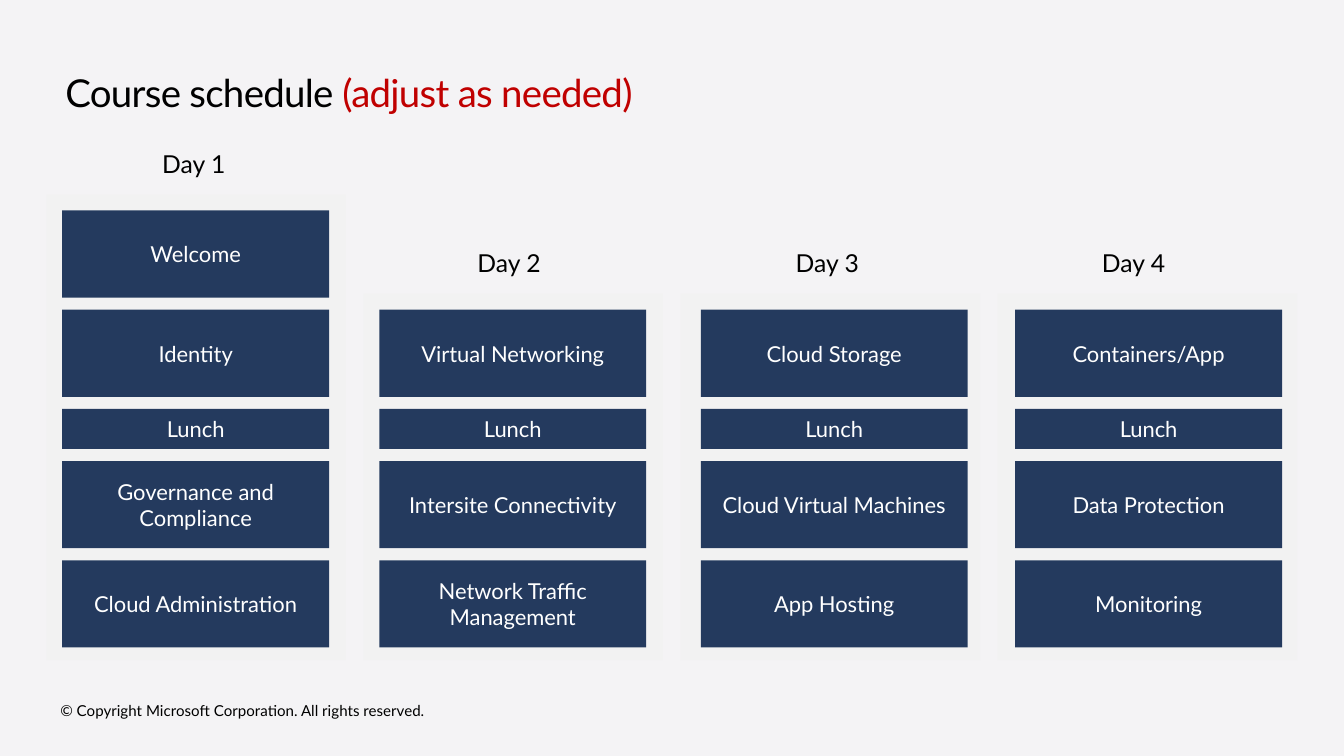
import dataclasses
import pptx
import pptx.dml.color
import pptx.enum.shapes
import pptx.enum.text
import pptx.util

Cm = pptx.util.Cm
Pt = pptx.util.Pt
Align = pptx.enum.text.PP_ALIGN
Anchor = pptx.enum.text.MSO_ANCHOR

HUES = {
    "page": "F4F3F5",
    "panel": "F2F2F2",
    "block": "243A5E",
    "dark": "000000",
    "light": "FFFFFF",
    "alert": "C00000",
}
FONT = "Lato"
TALL, SHORT, GAP = 2.24, 1.03, 0.31
FLOOR = 16.64
PAD_TOP, PAD_LOW = 0.41, 0.33
PANEL_LEFT, PANEL_STEP, PANEL_WIDE = 1.19, 8.15, 7.7
BLOCK_WIDE = 6.86
LABEL_RISE = 1.17


@dataclasses.dataclass
class Day:
    name: str
    label_left: float
    block_left: float
    topics: list[str]


@dataclasses.dataclass
class Box:
    left: float
    top: float
    wide: float
    high: float

    def place(self) -> tuple:
        return Cm(self.left), Cm(self.top), Cm(self.wide), Cm(self.high)


DAYS = [
    Day("Day 1", 4.17, 1.6, ["Welcome", "Identity", "Lunch",
                             "Governance and Compliance", "Cloud Administration"]),
    Day("Day 2", 12.27, 9.75, ["Virtual Networking", "Lunch",
                               "Intersite Connectivity", "Network Traffic Management"]),
    Day("Day 3", 20.45, 18.01, ["Cloud Storage", "Lunch",
                                "Cloud Virtual Machines", "App Hosting"]),
    Day("Day 4", 28.32, 26.09, ["Containers/App", "Lunch",
                                "Data Protection", "Monitoring"]),
]


def tint(name: str) -> pptx.dml.color.RGBColor:
    return pptx.dml.color.RGBColor.from_string(HUES[name])


def style(run, size: float, hue: str) -> None:
    run.font.name = FONT
    run.font.size = Pt(size)
    run.font.color.rgb = tint(hue)


def inset(frame, left: float, top: float, right: float, low: float) -> None:
    frame.margin_left, frame.margin_top = Cm(left), Cm(top)
    frame.margin_right, frame.margin_bottom = Cm(right), Cm(low)


def add_text(slide, box: Box, text: str, size: float, pads: tuple):
    frame = slide.shapes.add_textbox(*box.place()).text_frame
    frame.word_wrap = True
    inset(frame, *pads)
    frame.text = text
    line = frame.paragraphs[0]
    style(line.runs[0], size, "dark")
    return line


def add_rect(slide, box: Box, hue: str):
    kind = pptx.enum.shapes.MSO_SHAPE.RECTANGLE
    shape = slide.shapes.add_shape(kind, *box.place())
    shape.shadow.inherit = False
    shape.fill.solid()
    shape.fill.fore_color.rgb = tint(hue)
    shape.line.fill.background()
    return shape


def add_block(slide, box: Box, text: str) -> None:
    frame = add_rect(slide, box, "block").text_frame
    frame.word_wrap = True
    frame.vertical_anchor = Anchor.MIDDLE
    inset(frame, 0.51, 0.41, 0.51, 0.41)
    frame.text = text
    line = frame.paragraphs[0]
    line.alignment = Align.CENTER
    style(line.runs[0], 16, "light")


def add_day(slide, day: Day, panel_left: float) -> None:
    highs = [SHORT if topic == "Lunch" else TALL for topic in day.topics]
    top = FLOOR - sum(highs) - GAP * (len(highs) - 1)
    crest = top - PAD_TOP
    label = Box(day.label_left, crest - LABEL_RISE, 2.2, 0.76)
    add_text(slide, label, day.name, 18, (0, 0, 0, 0))
    panel = Box(panel_left, crest, PANEL_WIDE, FLOOR + PAD_LOW - crest)
    add_rect(slide, panel, "panel")
    for topic, high in zip(day.topics, highs):
        add_block(slide, Box(day.block_left, top, BLOCK_WIDE, high), topic)
        top += high + GAP


def add_title(slide) -> None:
    box = Box(1.68, 1.65, 23.22, 0.86)
    line = add_text(slide, box, "Course schedule ", 28, (0, 0.25, 0.41, 0.25))
    line.line_spacing = 0.9
    note = line.add_run()
    note.text = "(adjust as needed)"
    style(note, 28, "alert")
    for run in line.runs:
        run.font._element.set("spc", "-50")


def add_foot(slide) -> None:
    text = "© Copyright Microsoft Corporation. All rights reserved."
    box = Box(1.04, 17.86, 10.8, 1.24)
    line = add_text(slide, box, text, 11, (0.51, 0.41, 0.51, 0.41))
    line.line_spacing = 0.9
    line.space_after = Pt(6)


def main() -> None:
    deck = pptx.Presentation()
    deck.slide_width, deck.slide_height = Cm(34.54), Cm(19.43)
    slide = deck.slides.add_slide(deck.slide_layouts[6])
    slide.background.fill.solid()
    slide.background.fill.fore_color.rgb = tint("page")
    add_foot(slide)
    add_title(slide)
    for rank, day in enumerate(DAYS):
        add_day(slide, day, PANEL_LEFT + rank * PANEL_STEP)
    deck.save("out.pptx")


if __name__ == "__main__":
    main()
